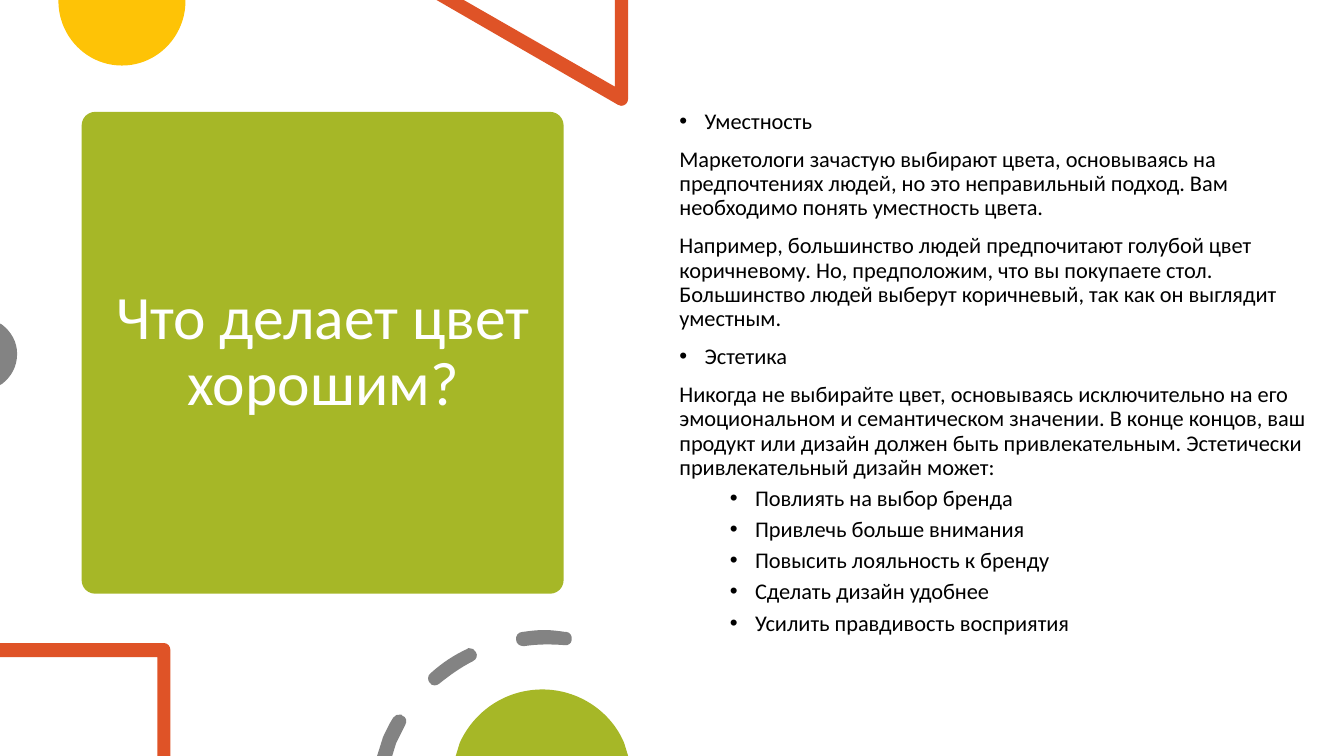
from dataclasses import dataclass

import pptx
import pptx.dml.color
import pptx.enum.shapes
import pptx.enum.text
import pptx.oxml.ns
import pptx.util
from lxml import etree

Inches = pptx.util.Inches
Pt = pptx.util.Pt
Align = pptx.enum.text.PP_ALIGN
qn = pptx.oxml.ns.qn

GREEN, YELLOW, ORANGE, GRAY = "A6B727", "FEC306", "DF5327", "838383"
UNITS = 1000  # freeform units per inch


@dataclass
class Outline:
    """Contours of points; a six-number step is a cubic curve."""
    color: str
    contours: list[list[tuple[float, ...]]]


@dataclass
class ParaStyle:
    align: Align = Align.LEFT
    level: int = 0
    margin: float = 0
    bullet: bool = False
    space_before: float = 10


HEADING = ParaStyle(align=Align.JUSTIFY, margin=0.25, bullet=True)
PLAIN = ParaStyle()
ITEM = ParaStyle(level=1, margin=0.75, bullet=True, space_before=5)
TITLE = ParaStyle(align=Align.CENTER)

YELLOW_DISC = Outline(YELLOW, [[
    (1.84, 0), (0.58, 0), (0.58, 0.01), (0.58, 0.36, 0.86, 0.65, 1.21, 0.65),
    (1.56, 0.65, 1.84, 0.36, 1.84, 0.01)]])
TRIANGLE = Outline(ORANGE, [[
    (6.23, 0), (6.1, 0), (6.1, 0.86), (4.6, 0), (4.33, 0), (6.13, 1.04),
    (6.14, 1.05, 6.15, 1.05, 6.16, 1.05), (6.2, 1.05, 6.23, 1.02, 6.23, 0.98)]])
GRAY_DISC = Outline(GRAY, [[
    (0, 3.21), (0, 3.82), (0.02, 3.81), (0.11, 3.74, 0.17, 3.64, 0.17, 3.51),
    (0.17, 3.39, 0.11, 3.29, 0.02, 3.22)]])
SQUARE_CORNER = Outline(ORANGE, [[
    (1.63, 6.38), (0, 6.38), (0, 6.52), (1.56, 6.52), (1.56, 7.5), (1.69, 7.5),
    (1.69, 6.45), (1.69, 6.41, 1.66, 6.38, 1.63, 6.38)]])
DASHED_ARC = Outline(GRAY, [
    [(3.97, 7.09), (3.94, 7.08, 3.92, 7.1, 3.9, 7.12),
     (3.86, 7.18, 3.83, 7.25, 3.8, 7.31), (3.74, 7.5), (3.89, 7.5), (3.93, 7.37),
     (3.96, 7.31, 3.99, 7.25, 4.02, 7.19), (4.04, 7.16, 4.03, 7.11, 3.99, 7.1),
     (3.99, 7.09, 3.98, 7.09, 3.97, 7.09)],
    [(4.65, 6.43), (4.65, 6.43, 4.64, 6.43, 4.63, 6.44),
     (4.5, 6.5, 4.38, 6.58, 4.27, 6.68), (4.24, 6.7, 4.24, 6.75, 4.26, 6.77),
     (4.27, 6.79, 4.29, 6.8, 4.31, 6.8), (4.31, 6.8),
     (4.33, 6.8, 4.35, 6.79, 4.36, 6.78), (4.46, 6.7, 4.57, 6.62, 4.69, 6.56),
     (4.73, 6.54, 4.74, 6.5, 4.72, 6.47), (4.71, 6.44, 4.68, 6.43, 4.65, 6.43)],
    [(5.4, 6.25), (5.32, 6.25, 5.25, 6.26, 5.18, 6.27),
     (5.14, 6.27, 5.11, 6.31, 5.12, 6.35), (5.12, 6.38, 5.15, 6.41, 5.19, 6.41),
     (5.19, 6.41, 5.19, 6.41, 5.2, 6.41), (5.33, 6.39, 5.46, 6.39, 5.6, 6.4),
     (5.63, 6.41, 5.67, 6.38, 5.67, 6.35), (5.68, 6.31, 5.65, 6.27, 5.62, 6.27),
     (5.62, 6.27, 5.61, 6.27, 5.61, 6.27), (5.54, 6.26, 5.47, 6.25, 5.4, 6.25)]])
GREEN_DISC = Outline(GREEN, [[
    (5.38, 6.84), (5.01, 6.84, 4.7, 7.06, 4.56, 7.37), (4.52, 7.5), (6.23, 7.5),
    (6.19, 7.37), (6.06, 7.06, 5.74, 6.84, 5.38, 6.84)]])

BODY = [
    (HEADING, "Уместность"),
    (PLAIN, "Маркетологи зачастую выбирают цвета, основываясь на предпочтениях людей, "
            "но это неправильный подход. Вам необходимо понять уместность цвета."),
    (PLAIN, "Например, большинство людей предпочитают голубой цвет коричневому. "
            "Но, предположим, что вы покупаете стол. Большинство людей выберут "
            "коричневый, так как он выглядит уместным."),
    (HEADING, "Эстетика"),
    (PLAIN, "Никогда не выбирайте цвет, основываясь исключительно на его эмоциональном "
            "и семантическом значении. В конце концов, ваш продукт или дизайн должен "
            "быть привлекательным. Эстетически привлекательный дизайн может:"),
    (ITEM, "Повлиять на выбор бренда"),
    (ITEM, "Привлечь больше внимания"),
    (ITEM, "Повысить лояльность к бренду"),
    (ITEM, "Сделать дизайн удобнее"),
    (ITEM, "Усилить правдивость восприятия"),
]


def rgb(color: str) -> pptx.dml.color.RGBColor:
    return pptx.dml.color.RGBColor.from_string(color)


def paint(sp, color: str) -> None:
    sp.shadow.inherit = False
    sp.fill.solid()
    sp.fill.fore_color.rgb = rgb(color)
    sp.line.fill.background()


def vertices(contour: list[tuple[float, ...]]) -> list[tuple[float, float]]:
    """List end points and curve control points in freeform units."""
    return [(step[i] * UNITS, step[i + 1] * UNITS)
            for step in contour for i in range(0, len(step), 2)]


def bend_curves(sp, outline: Outline) -> None:
    """Merge the three segments of each curve step into one cubic segment."""
    segments = iter(list(sp._element.iter(qn("a:lnTo"))))
    for contour in outline.contours:
        for step in contour[1:]:
            parts = [next(segments) for _ in range(len(step) // 2)]
            if len(parts) == 1:
                continue
            curve = etree.Element(qn("a:cubicBezTo"))
            parts[0].addprevious(curve)
            for part in parts:
                curve.append(part[0])
                part.getparent().remove(part)


def add_outline(s, outline: Outline) -> None:
    first, *others = [vertices(contour) for contour in outline.contours]
    builder = s.shapes.build_freeform(*first[0], scale=Inches(1) / UNITS)
    builder.add_line_segments(first[1:], close=True)
    for points in others:
        builder.move_to(*points[0])
        builder.add_line_segments(points[1:], close=True)
    sp = builder.convert_to_shape()
    bend_curves(sp, outline)
    paint(sp, outline.color)


def add_bullet(p, margin: float) -> None:
    pPr = p._p.get_or_add_pPr()
    pPr.set("marL", str(Inches(margin)))
    pPr.set("indent", str(Inches(-0.25)))
    for tag, name, value in (("a:buFont", "typeface", "Arial"), ("a:buChar", "char", "•")):
        etree.SubElement(pPr, qn(tag)).set(name, value)


def add_text(s, box: tuple[float, ...], paragraphs: list[tuple[ParaStyle, str]],
             size: float, color: str) -> None:
    tf = s.shapes.add_textbox(*map(Inches, box)).text_frame
    tf.word_wrap = True
    tf.vertical_anchor = pptx.enum.text.MSO_ANCHOR.MIDDLE
    for i, (style, text) in enumerate(paragraphs):
        p = tf.add_paragraph() if i else tf.paragraphs[0]
        if style.bullet:
            add_bullet(p, style.margin)
        para_format = {"alignment": style.align, "level": style.level, "line_spacing": 0.9,
                       "space_before": Pt(style.space_before if i else 0)}
        for name, value in para_format.items():
            setattr(p, name, value)
        r = p.add_run()
        r.text = text
        for name, value in {"size": Pt(size), "name": "Calibri"}.items():
            setattr(r.font, name, value)
        r.font.color.rgb = rgb(color)


def main() -> None:
    prs = pptx.Presentation()
    prs.slide_width, prs.slide_height = Inches(13.33), Inches(7.5)
    s = prs.slides.add_slide(prs.slide_layouts[6])

    panel = s.shapes.add_shape(pptx.enum.shapes.MSO_SHAPE.ROUNDED_RECTANGLE,
                               *map(Inches, (0.81, 1.11, 4.78, 4.78)))
    panel.adjustments[0] = 0.028
    paint(panel, GREEN)
    add_text(s, (1.05, 1.22, 4.31, 4.56), [(TITLE, "Что делает цвет хорошим?")], 44, "FFFFFF")

    for outline in (YELLOW_DISC, TRIANGLE, GRAY_DISC):
        add_outline(s, outline)
    add_text(s, (6.64, 0.55, 6.56, 6.3), BODY, 16, "000000")
    for outline in (SQUARE_CORNER, DASHED_ARC, GREEN_DISC):
        add_outline(s, outline)

    prs.save("out.pptx")


if __name__ == "__main__":
    main()
